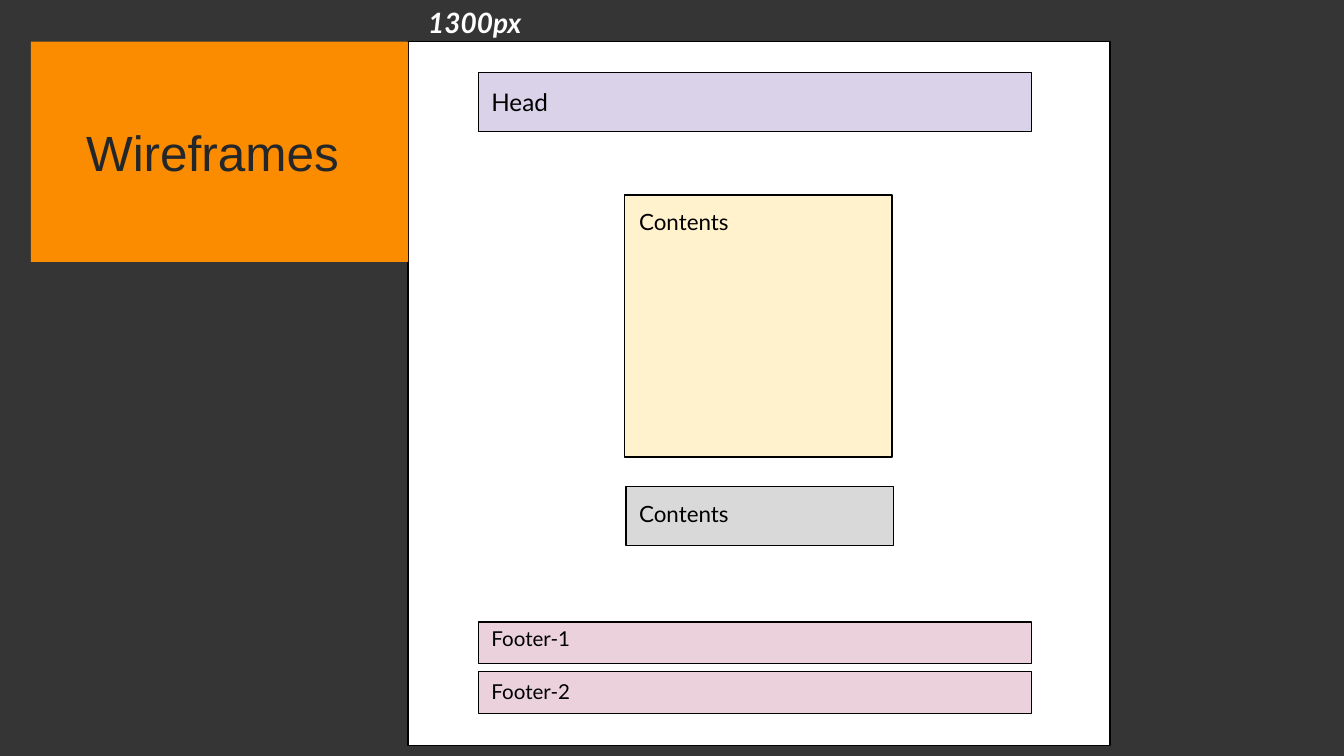
from lxml.etree import SubElement
from pptx import Presentation
from pptx.dml.color import RGBColor
from pptx.enum.shapes import MSO_SHAPE
from pptx.enum.text import MSO_ANCHOR, MSO_AUTO_SIZE, PP_ALIGN
from pptx.oxml.ns import qn
from pptx.util import Pt

HEX = {
    "back": "353535", "page": "FFFFFF", "ink": "000000", "note": "FFFFFF",
    "head": "D9D2E9", "main": "FFF2CC", "side": "D9D9D9", "foot": "EAD1DC",
    "flag": "FB8C00", "title": "242729",
}
PAD = 7.2

# Text, text size, colour, box within the page, label offset within the box
BLOCKS = [
    ("Head", 13, "head", (37.5, 16.6, 296.6, 31.7), (0, 0.7)),
    ("Contents", 12, "main", (115.9, 82.1, 143.3, 140.4), (0.7, 0)),
    ("Contents", 12, "side", (116.6, 238.3, 143.3, 31.7), (0, 0)),
    ("Footer-1", 11, "foot", (37.5, 311, 296.6, 22.3), (0, -5)),
    ("Footer-2", 11, "foot", (37.5, 337.6, 296.6, 22.3), (0, -3.6)),
]


def tint(name):
    return RGBColor.from_string(HEX[name])


def write(shape, text, size, color="ink", font="Lato", bold=False,
          italic=False, align=PP_ALIGN.LEFT, anchor=MSO_ANCHOR.TOP):
    frame = shape.text_frame
    frame.auto_size = MSO_AUTO_SIZE.NONE
    frame.word_wrap = True
    frame.vertical_anchor = anchor
    frame.margin_left = frame.margin_right = Pt(PAD)
    frame.margin_top = frame.margin_bottom = Pt(PAD)
    para = frame.paragraphs[0]
    para.alignment = align
    run = para.add_run()
    run.text = text
    run.font.name, run.font.size = font, Pt(size)
    run.font.bold, run.font.italic = bold, italic
    run.font.color.rgb = tint(color)


def add_label(slide, box, text, size, **style):
    label = slide.shapes.add_textbox(*map(Pt, box))
    write(label, text, size, **style)


def add_rect(slide, box, color):
    rect = slide.shapes.add_shape(MSO_SHAPE.RECTANGLE, *map(Pt, box))
    rect.shadow.inherit = False
    rect.fill.solid()
    rect.fill.fore_color.rgb = tint(color)
    rect.line.color.rgb = tint("ink")
    rect.line.width = Pt(0.75)


def add_page(slide, box):
    """Draw the wireframe page with its width note and blocks."""
    left, top = box[:2]
    add_rect(slide, box, "page")
    add_label(slide, (left + 3.6, top - 26.6, 126, 32.4), "1300px", 15,
              color="note", bold=True, italic=True)
    for text, size, color, (x, y, wide, high), (dx, dy) in BLOCKS:
        x, y = left + x, top + y
        add_rect(slide, (x, y, wide, high), color)
        add_label(slide, (x + dx, y + dy, 100, 29), text, size)


def set_title(slide, box):
    """Turn the title placeholder into a callout in front of the page."""
    title = slide.shapes.title
    title.left, title.top, title.width, title.height = map(Pt, box)
    shape = title.element.spPr
    geom = SubElement(shape, qn("a:prstGeom"), prst="wedgeRectCallout")
    guides = SubElement(geom, qn("a:avLst"))
    for name, value in (("adj1", -20800), ("adj2", 62500)):
        SubElement(guides, qn("a:gd"), name=name, fmla=f"val {value}")
    title.fill.solid()
    title.fill.fore_color.rgb = tint("flag")
    write(title, "Wireframes ", 26.5, color="title", font="Arial",
          align=PP_ALIGN.CENTER, anchor=MSO_ANCHOR.MIDDLE)
    slide.shapes.element.append(title.element)


def main():
    deck = Presentation()
    deck.slide_width, deck.slide_height = Pt(720), Pt(405)
    slide = deck.slides.add_slide(deck.slide_layouts[5])
    slide.background.fill.solid()
    slide.background.fill.fore_color.rgb = tint("back")
    add_page(slide, (218.7, 22.3, 376, 377.2))
    set_title(slide, (16.5, 22.3, 202.2, 118))
    deck.save("out.pptx")


if __name__ == "__main__":
    main()
